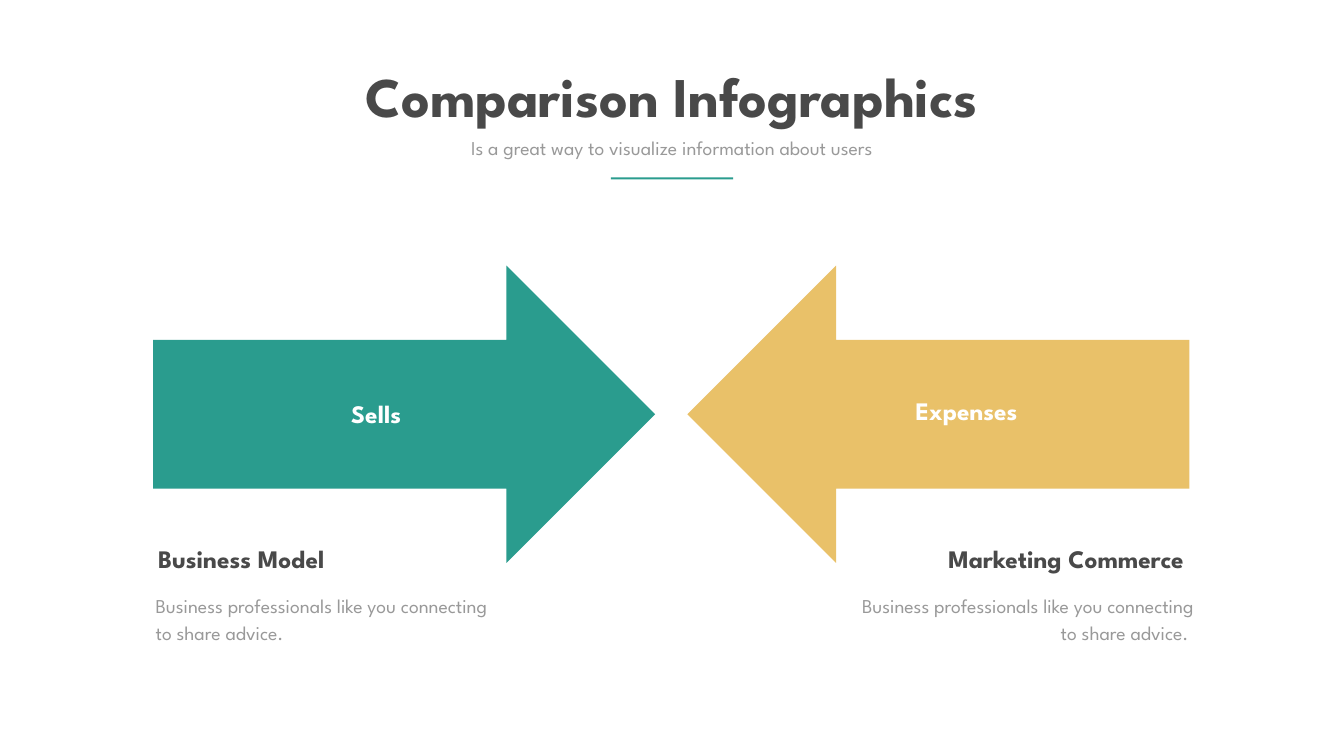
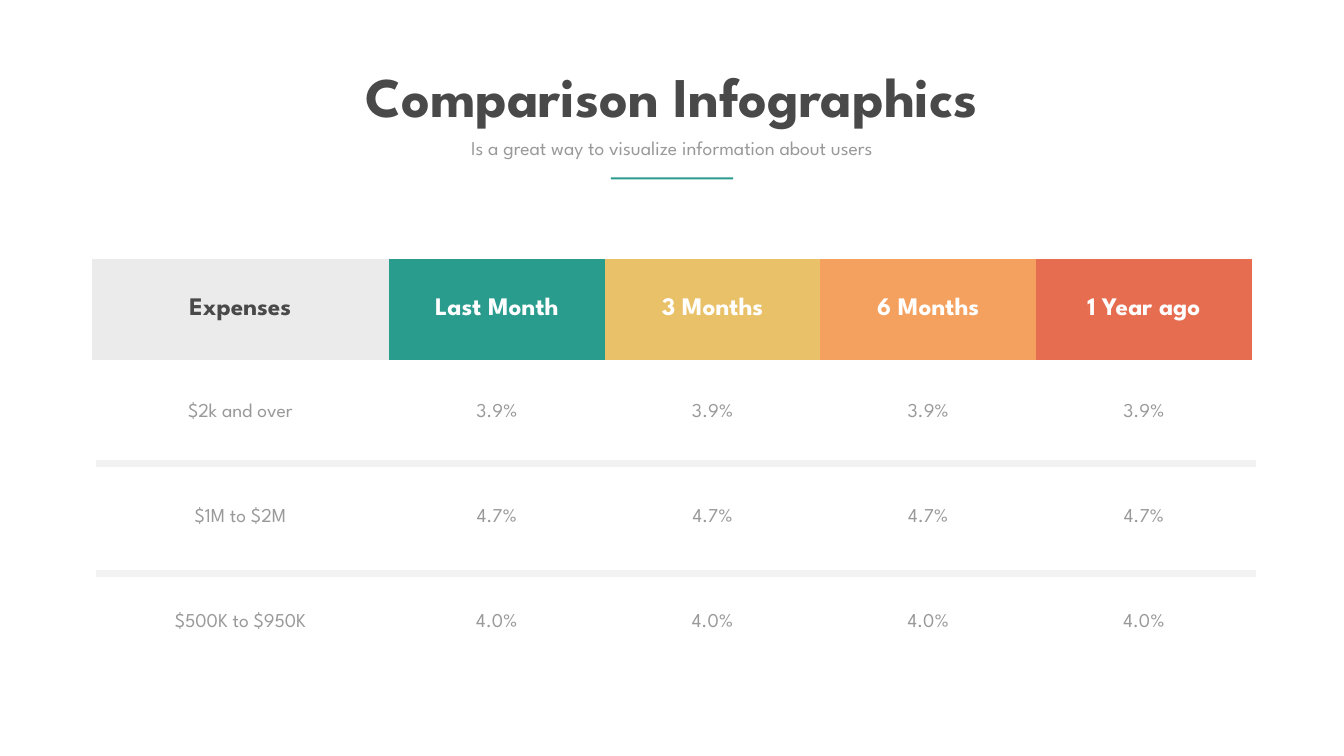
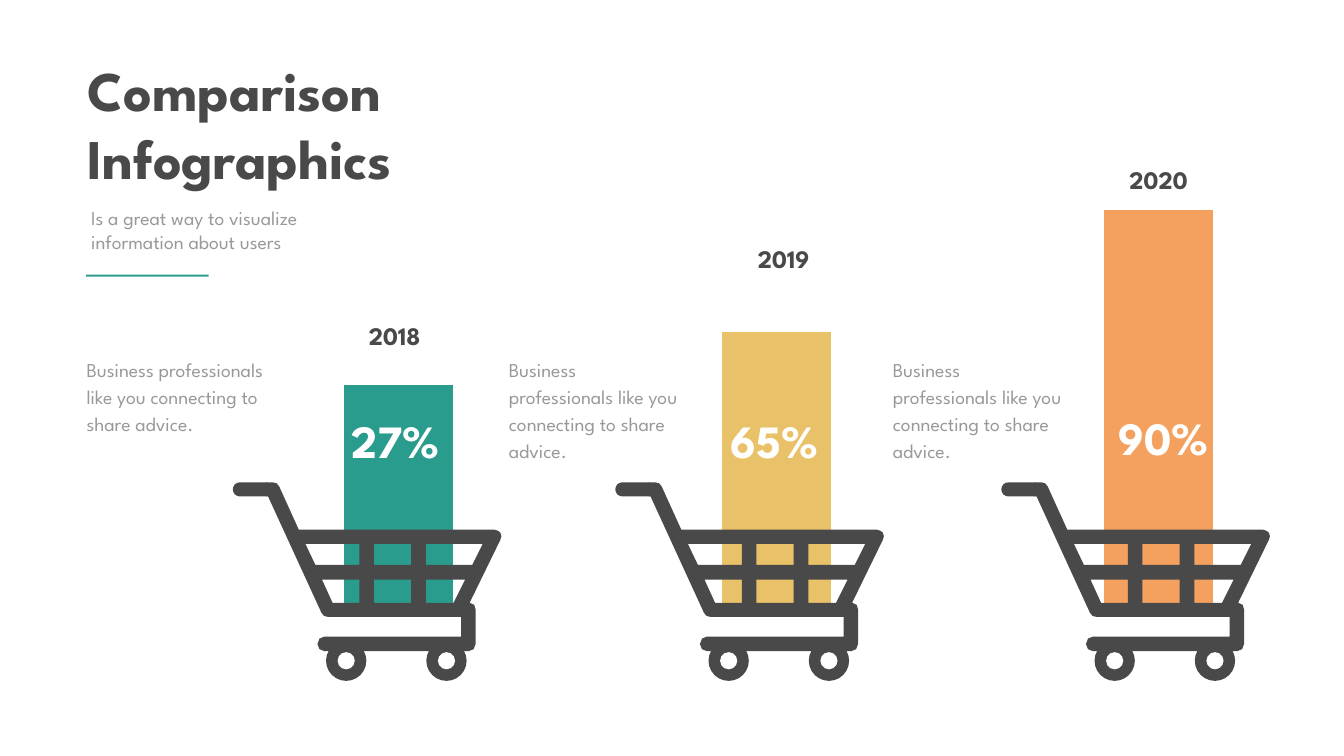
from math import cos, pi, sin

from lxml import etree
from pptx import Presentation
from pptx.chart.data import CategoryChartData
from pptx.dml.color import RGBColor
from pptx.enum.chart import XL_CHART_TYPE
from pptx.enum.shapes import MSO_CONNECTOR, MSO_SHAPE
from pptx.enum.text import MSO_ANCHOR, MSO_AUTO_SIZE, PP_ALIGN
from pptx.oxml import parse_xml
from pptx.oxml.ns import nsdecls, qn
from pptx.util import Pt

PX = 9144
FONT = "League Spartan"
TEAL = RGBColor(0x2A, 0x9C, 0x8E)
YELLOW = RGBColor(0xE9, 0xC1, 0x69)
ORANGE = RGBColor(0xF4, 0xA1, 0x5F)
CORAL = RGBColor(0xE6, 0x6D, 0x50)
DARK = RGBColor(0x49, 0x49, 0x49)
GRAY = RGBColor(0x99, 0x99, 0x99)
PALE = RGBColor(0xEB, 0xEB, 0xEB)
RULE = RGBColor(0xF2, 0xF2, 0xF2)
WHITE = RGBColor(0xFF, 0xFF, 0xFF)

LEFT, CENTER, RIGHT = PP_ALIGN.LEFT, PP_ALIGN.CENTER, PP_ALIGN.RIGHT
TOP, MIDDLE = MSO_ANCHOR.TOP, MSO_ANCHOR.MIDDLE
GROW = MSO_AUTO_SIZE.SHAPE_TO_FIT_TEXT
RECTANGLE, OVAL, ARROW = MSO_SHAPE.RECTANGLE, MSO_SHAPE.OVAL, MSO_SHAPE.RIGHT_ARROW
STRAIGHT = MSO_CONNECTOR.STRAIGHT
COLUMNS = XL_CHART_TYPE.COLUMN_CLUSTERED
PLAIN_TABLE = "{2D5ABB26-0587-4C30-8999-92F81FD0307C}"

SUBTITLE = "Is a great way to visualize information about users"
ADVICE = "Business professionals like you connecting to share advice."

CART_FRAME = [
    (993, 1057), (988, 1053), (981, 1051), (593, 1051), (554, 965), (549, 959),
    (541, 957), (528, 957), (528, 985), (532, 985), (638, 1216), (643, 1222),
    (651, 1224), (915, 1224), (915, 1263), (644, 1263), (634, 1267), (630, 1278),
    (634, 1288), (644, 1292), (930, 1292), (940, 1288), (944, 1277), (944, 1210),
    (941, 1200), (932, 1196), (993, 1071), (995, 1064),
]
CART_WINDOWS = [
    [(713, 1196), (660, 1196), (639, 1150), (713, 1150)],
    [(713, 1121), (626, 1121), (606, 1079), (713, 1079)],
    [(816, 1196), (742, 1196), (742, 1150), (816, 1150)],
    [(816, 1121), (742, 1121), (742, 1079), (816, 1079)],
    [(900, 1196), (845, 1196), (845, 1150), (923, 1150)],
    [(937, 1121), (845, 1121), (845, 1079), (958, 1079)],
]
HANDLE = [(530, 957)] + [
    (476 - 14 * sin(step * pi / 8), 971 - 14 * cos(step * pi / 8)) for step in range(9)
] + [(530, 985)]


def emu(*lengths):
    """Turn px lengths into EMU."""
    return [length * PX for length in lengths]


def write(frame, lines, size, color, bold=False, align=LEFT, leading=None):
    """Write one paragraph per line in the house font."""
    for index, line in enumerate(lines):
        paragraph = frame.paragraphs[0] if index == 0 else frame.add_paragraph()
        paragraph.alignment = align
        if leading:
            paragraph.line_spacing = Pt(leading)
        run = paragraph.add_run()
        run.text = line
        run.font.name = FONT
        run.font.size = Pt(size)
        run.font.bold = bold
        run.font.color.rgb = color


def add_text(slide, box, text, size, color, bold=False, align=LEFT, leading=None, wrap=True):
    """Add a text box that grows with its text."""
    frame = slide.shapes.add_textbox(*emu(*box)).text_frame
    frame.word_wrap = wrap
    frame.auto_size = GROW
    write(frame, [text], size, color, bold, align, leading)


def add_heading(slide, box, text, color=DARK, align=LEFT):
    """Add a bold label."""
    add_text(slide, box, text, 36, color, True, align)


def add_body(slide, box, text=ADVICE, align=LEFT):
    """Add a gray descriptive paragraph."""
    add_text(slide, box, text, 28, GRAY, align=align, leading=38.6)


def paint(shape, color):
    """Give a shape a flat fill with no line or shadow."""
    shape.shadow.inherit = False
    shape.fill.solid()
    shape.fill.fore_color.rgb = color
    shape.line.fill.background()


def add_flat(shapes, preset, box, color):
    """Add a flat preset shape."""
    shape = shapes.add_shape(preset, *emu(*box))
    paint(shape, color)
    return shape


def add_outline(shapes, contours, shift, color):
    """Add one freeform made of closed contours, moved right by shift."""
    moved = [[(x + shift, y) for x, y in contour] for contour in contours]
    builder = shapes.build_freeform(*moved[0][0], scale=PX)
    builder.add_line_segments(moved[0][1:])
    for contour in moved[1:]:
        builder.move_to(*contour[0])
        builder.add_line_segments(contour[1:])
    paint(builder.convert_to_shape(), color)


def add_header(slide, lines, title_box, subtitle_box, accent_box, align):
    """Fill the title placeholder and add the subtitle and accent bar."""
    title = slide.shapes.title
    title.left, title.top, title.width, title.height = emu(*title_box)
    frame = title.text_frame
    frame.word_wrap = len(lines) > 1
    frame.auto_size = GROW
    frame.vertical_anchor = TOP
    write(frame, lines, 80, DARK, True, align)
    add_text(slide, subtitle_box, SUBTITLE, 28, GRAY, align=align)
    add_flat(slide.shapes, RECTANGLE, accent_box, TEAL)


def add_centered_header(slide):
    """Add the header shared by the centred slides."""
    add_header(slide, ["Comparison Infographics"], (621, 117, 1423, 145),
               (855, 265, 956, 57), (1212, 352, 243, 4), CENTER)


def add_rule(slide, y):
    """Add a thick pale row divider."""
    rule = slide.shapes.add_connector(STRAIGHT, *emu(190, y, 2493, y))
    rule.line.color.rgb = RULE
    rule.line.width = Pt(10)
    etree.SubElement(rule._element.spPr, qn("a:effectLst"))


def add_expense_table(slide):
    """Add the expense table with its coloured header row."""
    headers = [("Expenses", PALE), ("Last Month", TEAL), ("3 Months", YELLOW),
               ("6 Months", ORANGE), ("1 Year ago", CORAL)]
    expenses = [("$2k and over", "3.9%"), ("$1M to $2M", "4.7%"), ("$500K to $950K", "4.0%")]
    rows = [[name for name, _ in headers]]
    rows += [[bracket] + [share] * 4 for bracket, share in expenses]
    table = slide.shapes.add_table(4, 5, *emu(182, 514, 2302, 825)).table
    table.first_row = table.horz_banding = False
    table._tbl.tblPr.find(qn("a:tableStyleId")).text = PLAIN_TABLE
    for column, width in zip(table.columns, [590] + [428] * 4):
        column.width = width * PX
    for row, height in zip(table.rows, [201] + [208] * 3):
        row.height = height * PX
    for r, texts in enumerate(rows):
        for c, text in enumerate(texts):
            cell = table.cell(r, c)
            cell.vertical_anchor = MIDDLE
            if r == 0:
                cell.fill.solid()
                cell.fill.fore_color.rgb = headers[c][1]
                write(cell.text_frame, [text], 36, WHITE if c else DARK, True, CENTER)
            else:
                cell.fill.background()
                write(cell.text_frame, [text], 28, GRAY, align=CENTER)


def add_column(slide, box, color):
    """Add a one-column chart with hidden axes."""
    data = CategoryChartData()
    data.categories = ["1"]
    data.add_series("Series 1", [100])
    chart = slide.shapes.add_chart(COLUMNS, *emu(*box), data).chart
    chart.has_legend = chart.has_title = False
    chart.font.name = "Calibri"
    chart.font.size = Pt(10)
    chart.font.color.rgb = GRAY
    chart.value_axis.minimum_scale = 0
    chart.value_axis.maximum_scale = 100
    chart.value_axis.has_major_gridlines = False
    chart.value_axis.visible = chart.category_axis.visible = False
    plot = chart.plots[0]
    plot.vary_by_categories = False
    plot.gap_width = 270
    plot.overlap = -100
    bar = plot.series[0].format.fill
    bar.solid()
    bar.fore_color.rgb = color
    area = chart._chartSpace.chart.plotArea
    for layout in area.findall(qn("c:layout")):
        area.remove(layout)
    area.insert(0, parse_xml(
        f'<c:layout {nsdecls("c")}><c:manualLayout><c:layoutTarget val="inner"/>'
        '<c:xMode val="edge"/><c:yMode val="edge"/><c:x val="0.02"/><c:y val="0.115"/>'
        '<c:w val="0.96"/><c:h val="0.865"/></c:manualLayout></c:layout>'))


def add_cart(slide, shift):
    """Add a shopping cart, moved right by shift."""
    shapes = slide.shapes.add_group_shape().shapes
    add_outline(shapes, [CART_FRAME] + CART_WINDOWS, shift, DARK)
    add_outline(shapes, [HANDLE], shift, DARK)
    for center in (687, 886):
        for radius, color in ((40, DARK), (17, WHITE)):
            add_flat(shapes, OVAL, (center + shift - radius, 1311 - radius,
                                    2 * radius, 2 * radius), color)


def build_arrows(slide):
    """Build the sells against expenses slide."""
    add_flat(slide.shapes, ARROW, (304, 527, 996, 590), TEAL)
    add_flat(slide.shapes, ARROW, (1364, 527, 996, 590), YELLOW).rotation = 180
    add_heading(slide, (390, 786, 713, 71), "Sells", WHITE, CENTER)
    add_heading(slide, (1450, 780, 579, 71), "Expenses", WHITE, RIGHT)
    add_body(slide, (299, 1166, 718, 118))
    add_heading(slide, (304, 1073, 478, 71), "Business Model")
    add_body(slide, (1660, 1166, 718, 118), ADVICE + " ", RIGHT)
    add_heading(slide, (1780, 1073, 579, 71), "Marketing Commerce", align=RIGHT)
    add_centered_header(slide)


def build_expenses(slide):
    """Build the expense table slide."""
    add_expense_table(slide)
    for y in (1138, 920):
        add_rule(slide, y)
    add_centered_header(slide)


def build_carts(slide):
    """Build the yearly growth slide with a column in each cart."""
    years = [
        ("2018", "27%", TEAL, (373, 705, 834, 517), 0, (162, 393), (683, 813), (634, 631)),
        ("2019", "65%", YELLOW, (1123, 586, 834, 627), 759, (1000, 361), (1435, 813), (1406, 478)),
        ("2020", "90%", ORANGE, (1882, 311, 834, 913), 1525, (1762, 359), (2207, 807), (2150, 322)),
    ]
    for _, _, color, column_box, *_ in years:
        add_column(slide, column_box, color)
    for year, share, _, _, shift, (advice_x, advice_width), share_at, year_at in years:
        add_cart(slide, shift)
        add_body(slide, (advice_x, 698, advice_width, 224))
        add_text(slide, (*share_at, 204, 121), share, 66, WHITE, True, CENTER, wrap=False)
        add_heading(slide, (*year_at, 298, 71), year, align=CENTER)
    add_header(slide, ["Comparison", "Infographics"], (164, 106, 713, 279),
               (171, 404, 523, 104), (171, 545, 243, 4), LEFT)


def main():
    """Build the deck and save it."""
    deck = Presentation()
    deck.slide_width, deck.slide_height = emu(2667, 1500)
    title_only = deck.slide_layouts[5]
    for build in (build_arrows, build_expenses, build_carts):
        build(deck.slides.add_slide(title_only))
    deck.save("out.pptx")


if __name__ == "__main__":
    main()
